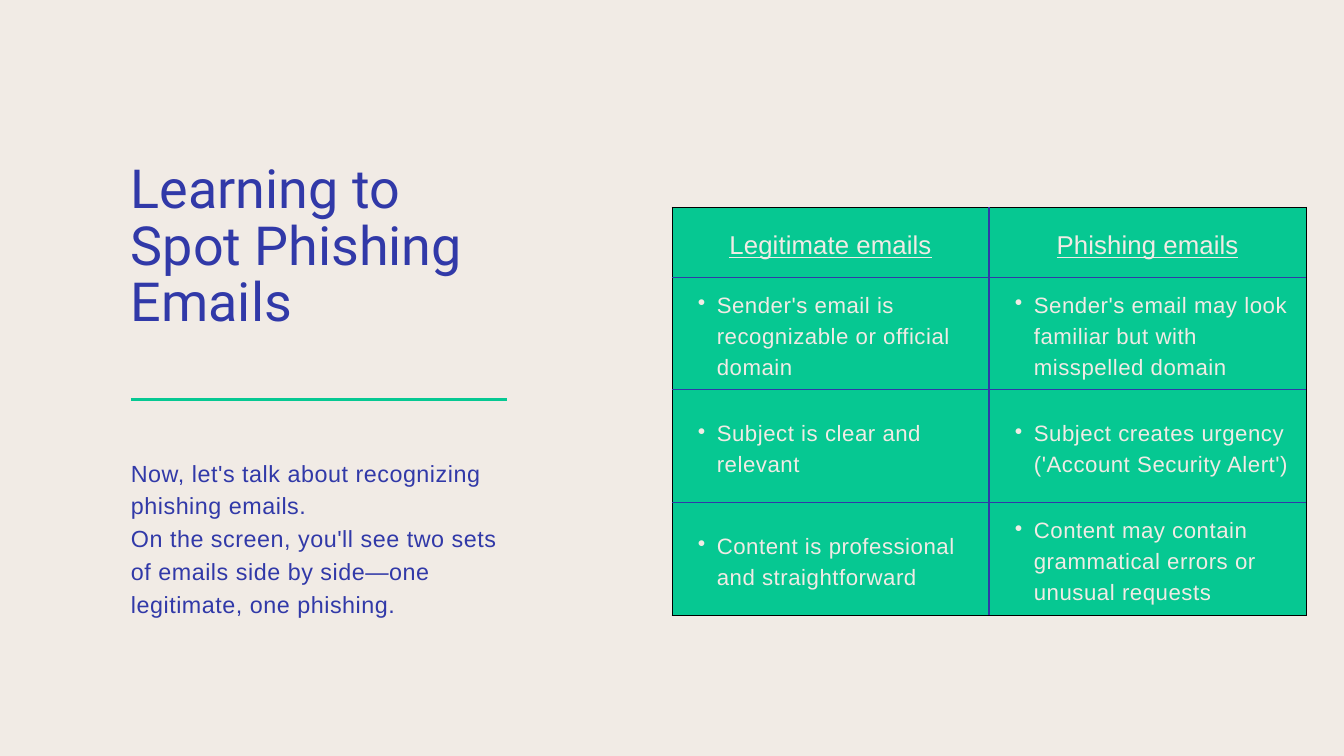
from dataclasses import dataclass

from lxml.etree import SubElement
from pptx import Presentation
from pptx.dml.color import RGBColor as RGB
from pptx.enum.shapes import MSO_CONNECTOR as Connector
from pptx.enum.text import MSO_ANCHOR as Anchor, MSO_AUTO_SIZE as AutoSize, PP_ALIGN as Align
from pptx.oxml.ns import qn
from pptx.util import Emu, Pt

EMU_PER_PX = 9525


@dataclass(frozen=True)
class TextStyle:
    font: str
    size: float
    leading: float
    color: str
    tracking: float = 0
    underline: bool = False


@dataclass(frozen=True)
class Theme:
    cream: str = "F1EBE5"
    indigo: str = "3139A8"
    green: str = "06C892"
    black: str = "000000"
    inner_border: float = 1.42
    outer_border: float = 0.71
    rule: float = 3
    title: TextStyle = TextStyle("Roboto", 57.7, 60.5, indigo)
    body: TextStyle = TextStyle("Arial", 25, 35, indigo, 0.6)
    header: TextStyle = TextStyle("Arial", 27.6, 38.6, cream, 0.1, True)
    item: TextStyle = TextStyle("Arial", 23.8, 33.3, cream, 0.6)


THEME = Theme()
TITLE = "Learning to Spot Phishing Emails"
BODY = [
    "Now, let's talk about recognizing phishing emails.",
    "On the screen, you'll see two sets of emails side by side—one legitimate, one phishing.",
]
COMPARISON = [
    ("Legitimate emails", "Phishing emails"),
    ("Sender's email is recognizable or official domain",
     "Sender's email may look familiar but with misspelled domain"),
    ("Subject is clear and relevant",
     "Subject creates urgency ('Account Security Alert')"),
    ("Content is professional and straightforward",
     "Content may contain grammatical errors or unusual requests"),
]


def px(length):
    return Emu(length * EMU_PER_PX)


def write_paragraph(para, text, style, align=Align.LEFT):
    para.alignment = align
    para.line_spacing = Pt(style.leading)
    para.space_before = Pt(0)
    span = para.add_run()
    span.text = text
    font = span.font
    font.name = style.font
    font.size = Pt(style.size)
    font.color.rgb = RGB.from_string(style.color)
    font.underline = style.underline
    if style.tracking:
        font._element.set("spc", str(round(style.tracking * 100)))


def set_bullet(para, char=None, margin=0, indent=0):
    """Give the paragraph a bullet character, or none, and its indents."""
    props = para._p.get_or_add_pPr()
    props.set("marL", str(px(margin)))
    props.set("indent", str(px(indent)))
    if char:
        SubElement(props, qn("a:buChar"), char=char)
    else:
        SubElement(props, qn("a:buNone"))


def fill_placeholder(box, place, texts, style):
    box.left, box.top, box.width, box.height = map(px, place)
    frame = box.text_frame
    frame.margin_left = frame.margin_top = frame.margin_right = frame.margin_bottom = 0
    frame.vertical_anchor = Anchor.TOP
    frame.word_wrap = True
    frame.auto_size = AutoSize.SHAPE_TO_FIT_TEXT
    for index, text in enumerate(texts):
        para = frame.add_paragraph() if index else frame.paragraphs[0]
        set_bullet(para)
        write_paragraph(para, text, style)


def set_borders(cell, outer_sides):
    """Draw thin black lines on the outer sides and indigo lines on the others."""
    props = cell._tc.get_or_add_tcPr()
    for side in "LRTB":
        outer = side in outer_sides
        width = THEME.outer_border if outer else THEME.inner_border
        line = SubElement(props, qn(f"a:ln{side}"), w=str(Pt(width)))
        fill = SubElement(line, qn("a:solidFill"))
        SubElement(fill, qn("a:srgbClr"), val=THEME.black if outer else THEME.indigo)


def add_comparison(page, left, top, column_width, row_heights):
    row_count, column_count = len(COMPARISON), len(COMPARISON[0])
    table = page.shapes.add_table(
        row_count, column_count, px(left), px(top),
        px(column_width * column_count), px(sum(row_heights))).table
    table.first_row = table.horz_banding = False
    for column in table.columns:
        column.width = px(column_width)
    for r, (height, texts) in enumerate(zip(row_heights, COMPARISON)):
        table.rows[r].height = px(height)
        for c, text in enumerate(texts):
            cell = table.cell(r, c)
            edges = {"L": c == 0, "R": c == column_count - 1,
                     "T": r == 0, "B": r == row_count - 1}
            set_borders(cell, [side for side, outer in edges.items() if outer])
            cell.fill.solid()
            cell.fill.fore_color.rgb = RGB.from_string(THEME.green)
            cell.vertical_anchor = Anchor.MIDDLE
            cell.margin_left = cell.margin_right = px(10)
            cell.margin_top = cell.margin_bottom = px(10)
            para = cell.text_frame.paragraphs[0]
            if r == 0:
                write_paragraph(para, text, THEME.header, Align.CENTER)
            else:
                para.level = 1
                set_bullet(para, "•", 54, -27)
                write_paragraph(para, text, THEME.item)


def add_rule(page, left, right, y):
    rule = page.shapes.add_connector(Connector.STRAIGHT, px(left), px(y), px(right), px(y))
    rule.line.color.rgb = RGB.from_string(THEME.green)
    rule.line.width = Pt(THEME.rule)
    SubElement(rule._element.spPr, qn("a:effectLst"))


def main():
    deck = Presentation()
    deck.slide_width, deck.slide_height = px(1920), px(1080)
    page = deck.slides.add_slide(deck.slide_layouts[1])
    page.background.fill.solid()
    page.background.fill.fore_color.rgb = RGB.from_string(THEME.cream)

    add_comparison(page, 960, 296, 453, (100, 161, 161, 161))
    fill_placeholder(page.shapes.title, (187, 233, 538, 254), [TITLE], THEME.title)
    fill_placeholder(page.placeholders[1], (187, 649, 542, 228), BODY, THEME.body)
    add_rule(page, 187, 725, 571)
    deck.save("out.pptx")


if __name__ == "__main__":
    main()
